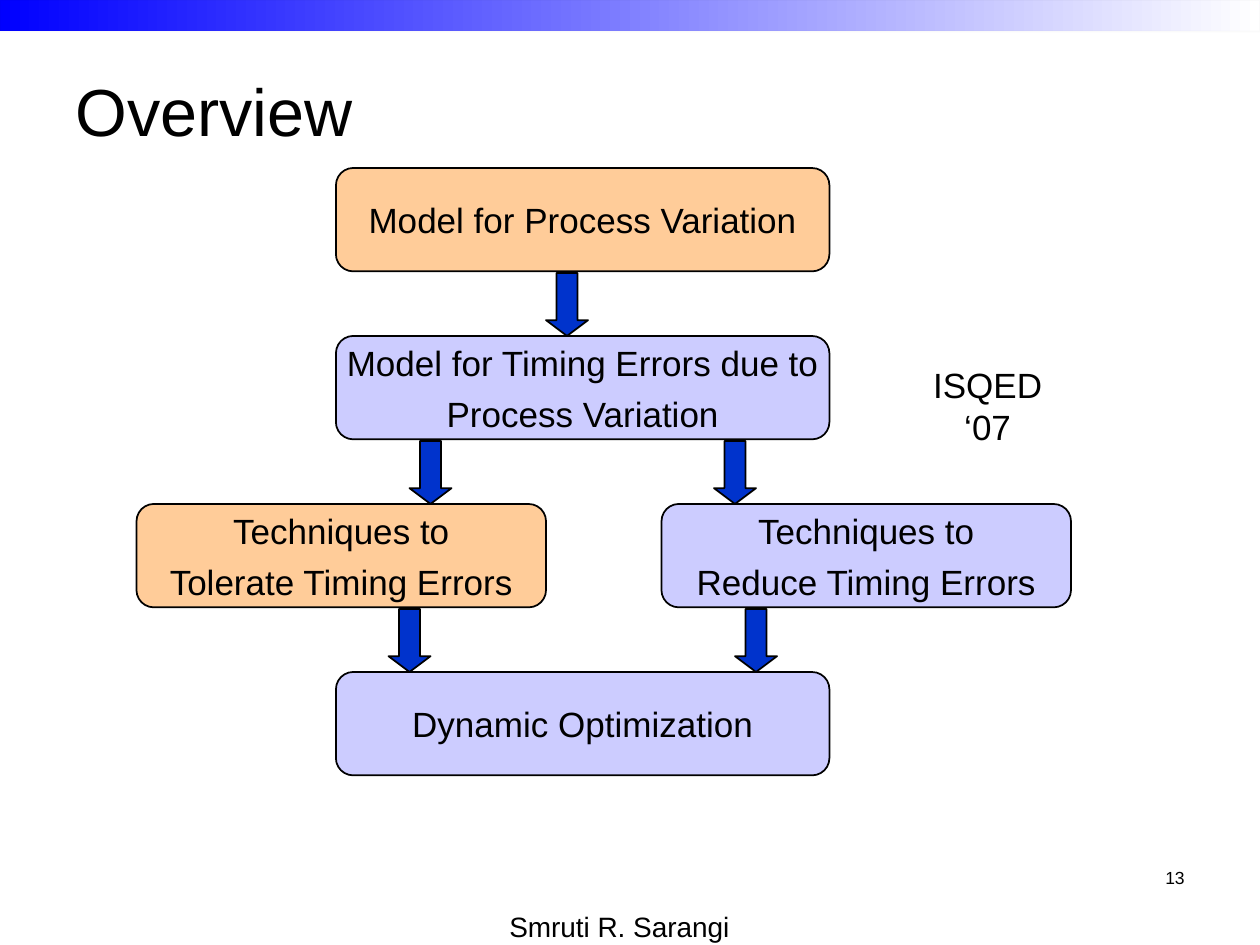
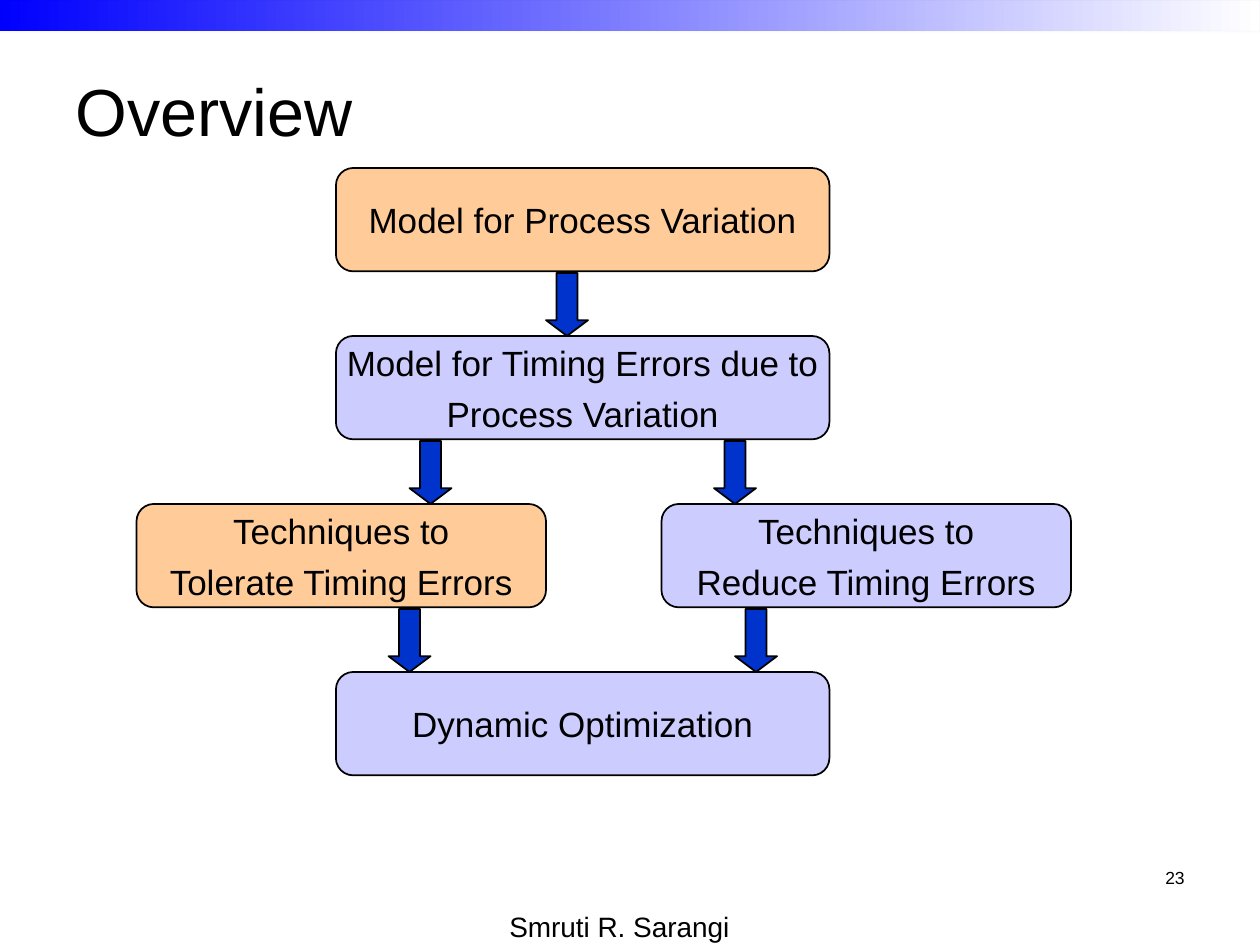
from lxml import etree
from pptx import Presentation
from pptx.dml.color import RGBColor
from pptx.enum.shapes import MSO_SHAPE as Shape
from pptx.enum.text import MSO_ANCHOR as Anchor, PP_ALIGN as Align
from pptx.oxml.ns import qn
from pptx.util import Inches, Pt

# Content
TITLE = "Overview"
AUTHOR = "Smruti R. Sarangi"
SLIDES = [
    {"number": "13", "venue": "ISQED ‘07"},
    {"number": "23", "venue": None},
]

BLACK = RGBColor(0x00, 0x00, 0x00)
WHITE = RGBColor(0xFF, 0xFF, 0xFF)
BAND_BLUE = RGBColor(0x00, 0x00, 0xFF)
ARROW_BLUE = RGBColor(0x00, 0x33, 0xCC)
LILAC = RGBColor(0xCC, 0xCC, 0xFF)
PEACH = RGBColor(0xFF, 0xCC, 0x99)
FONT = "Arial"

# Grid: 12 units to the inch; each flow row holds a box, then an arrow
UNIT = Inches(1) // 12
SLIDE_COLUMNS, SLIDE_ROWS = 120, 90
FLOW_TOP, ROW_STEP = 16, 16
BOX_HEIGHT = 9.84
ARROW_WIDTH, ARROW_HEIGHT = 4, 6
WIDE, NARROW = 47, 39

# (flow row, left column, width, fill, lines)
STAGES = [
    (0, 32, WIDE, PEACH, ["Model for Process Variation"]),
    (1, 32, WIDE, LILAC, ["Model for Timing Errors due to", "Process Variation"]),
    (2, 13, NARROW, PEACH, ["Techniques to", "Tolerate Timing Errors"]),
    (2, 63, NARROW, LILAC, ["Techniques to", "Reduce Timing Errors"]),
    (3, 32, WIDE, LILAC, ["Dynamic Optimization"]),
]
# (flow row the arrow leaves, left column)
ARROWS = [(0, 52), (1, 39), (1, 68), (2, 37), (2, 70)]


def units(*lengths):
    return [round(length * UNIT) for length in lengths]


def write(shape, lines, size, align=Align.CENTER, anchor=Anchor.TOP, wrap=True):
    frame = shape.text_frame
    frame.word_wrap = wrap
    frame.vertical_anchor = anchor
    for index, line in enumerate(lines):
        para = frame.add_paragraph() if index else frame.paragraphs[0]
        para.alignment = align
        if index:
            para.space_before = Pt(5)
        span = para.add_run()
        span.text = line
        span.font.name = FONT
        span.font.size = Pt(size)
        span.font.color.rgb = BLACK


def add_label(page, place, text, size, **style):
    write(page.shapes.add_textbox(*units(*place)), [text], size, **style)


def add_outlined(page, kind, place, fill=None):
    shape = page.shapes.add_shape(kind, *units(*place))
    shape.shadow.inherit = False
    shape.line.color.rgb = BLACK
    shape.line.width = Pt(1)
    if fill is not None:
        shape.fill.solid()
        shape.fill.fore_color.rgb = fill
    return shape


def add_band(page):
    """Draw the top band, fading from blue to nearly clear white."""
    band = add_outlined(page, Shape.RECTANGLE, (0, 0, SLIDE_COLUMNS, 3))
    band.fill.gradient()
    band.fill.gradient_angle = 0
    for stop, color, position in zip(band.fill.gradient_stops, (BAND_BLUE, WHITE), (0, 1)):
        stop.color.rgb = color
        stop.position = position
    last_color = list(band.fill._xPr.iter(qn("a:srgbClr")))[-1]
    etree.SubElement(last_color, qn("a:alpha")).set("val", "2000")


def add_frame(page, number):
    """Add what every slide shares: band, author, slide number and title."""
    add_band(page)
    add_label(page, (40, 86, 38, 4), AUTHOR, 16)
    add_label(page, (86, 82, 28, 6), number, 10, align=Align.RIGHT)
    add_label(page, (6, 3, 108, 15), TITLE, 38, align=Align.LEFT, anchor=Anchor.MIDDLE)


def add_flow(page):
    for row, left, width, fill, lines in STAGES:
        top = FLOW_TOP + row * ROW_STEP
        box = add_outlined(page, Shape.ROUNDED_RECTANGLE, (left, top, width, BOX_HEIGHT), fill)
        box.adjustments[0] = 0.167
        write(box, lines, 20, anchor=Anchor.MIDDLE, wrap=False)
    for row, left in ARROWS:
        top = FLOW_TOP + (row + 1) * ROW_STEP - ARROW_HEIGHT
        arrow = add_outlined(page, Shape.DOWN_ARROW, (left, top, ARROW_WIDTH, ARROW_HEIGHT), ARROW_BLUE)
        arrow.adjustments[0] = 0.5
        arrow.adjustments[1] = 0.375


def main():
    deck = Presentation()
    deck.slide_width, deck.slide_height = units(SLIDE_COLUMNS, SLIDE_ROWS)
    for content in SLIDES:
        page = deck.slides.add_slide(deck.slide_layouts[6])
        add_frame(page, content["number"])
        add_flow(page)
        if content["venue"]:
            add_label(page, (85, 34, 18.12, 5.28), content["venue"], 20, wrap=False)
    deck.save("out.pptx")


if __name__ == "__main__":
    main()
